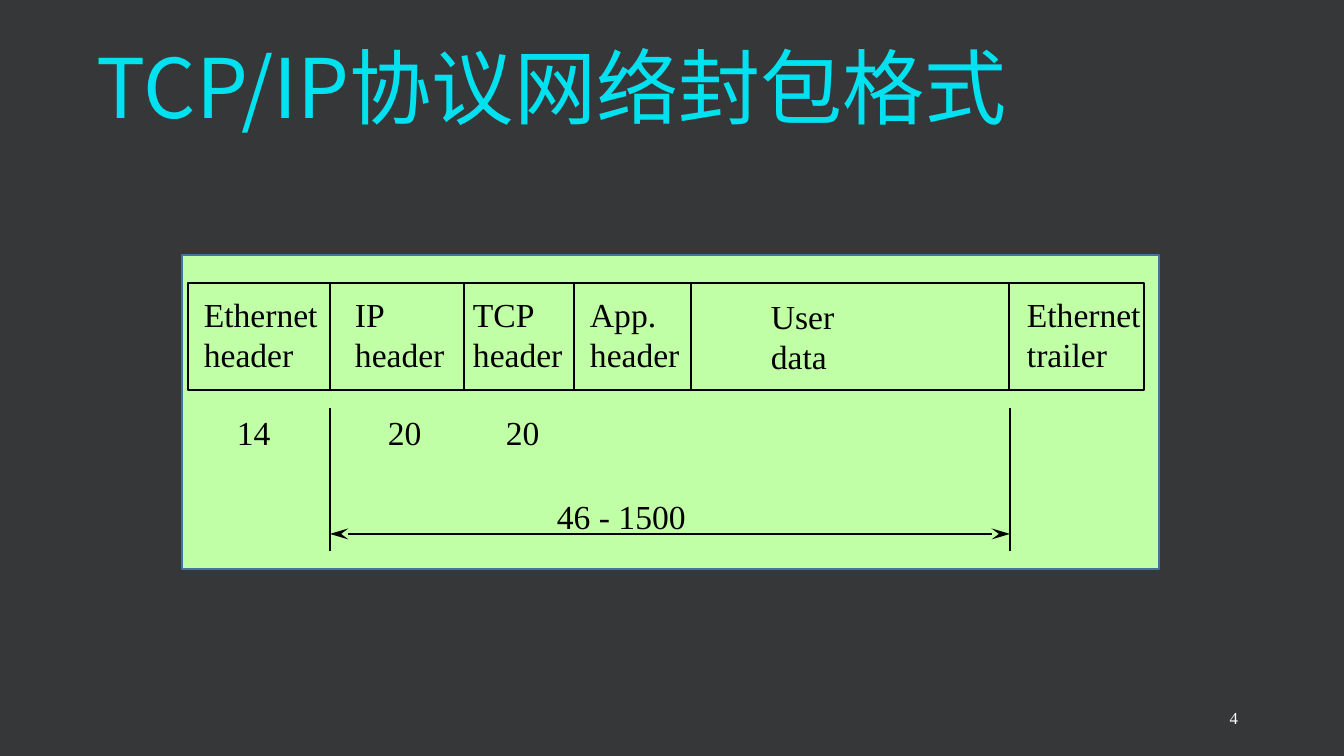
from pptx import Presentation
from pptx.dml.color import RGBColor
from pptx.enum.shapes import MSO_CONNECTOR, MSO_SHAPE
from pptx.enum.text import MSO_ANCHOR, MSO_AUTO_SIZE, PP_ALIGN
from pptx.oxml.ns import qn
from pptx.util import Pt
from lxml.etree import SubElement

PX = 914400 / 134.4
BG = RGBColor(0x36, 0x37, 0x39)
GREEN = RGBColor(0xC1, 0xFF, 0xA6)
BLUE = RGBColor(0x43, 0x73, 0x9E)
CYAN = RGBColor(0x01, 0xE1, 0xEF)
BLACK = RGBColor(0, 0, 0)
WHITE = RGBColor(255, 255, 255)
SERIF, CJK = "Times New Roman", "Noto Sans CJK SC"

TITLE = "TCP/IP协议网络封包格式"
PANEL = (182, 255, 977, 314)
FRAME = (188, 283, 956, 107)
FIELDS = [
    (193, 289, 136, "Ethernet\nheader", "14"),
    (344, 289, 112, "IP\nheader", "20"),
    (462, 289, 112, "TCP\nheader", "20"),
    (579, 289, 112, "App.\nheader", ""),
    (760, 291, 93, "User\ndata", ""),
    (1016, 289, 136, "Ethernet\ntrailer", ""),
]
DIVIDERS = [330, 464, 574, 691, 1009]
SPAN = (330, 1010)
SPAN_LABEL = "46 - 1500"
LABEL_H, SIZE_W, SIZE_H, SIZE_DX, SIZE_Y = 92, 60, 51, 33, 407


def emu(*lengths):
    return [round(v * PX) for v in lengths]


def style(tf, size, color, font=SERIF, align=PP_ALIGN.LEFT, spacing=1.0):
    for p in tf.paragraphs:
        p.alignment, p.line_spacing = align, spacing
        for r in p.runs:
            for key, value in {"size": Pt(size), "name": font, "bold": False}.items():
                setattr(r.font, key, value)
            r.font.color.rgb = color
            SubElement(r._r.get_or_add_rPr(), qn("a:ea"), typeface=font)


def set_frame(tf, **formats):
    margins = dict(zip(("margin_left", "margin_top", "margin_right", "margin_bottom"),
                       emu(11, 5, 11, 5)))
    for key, value in {**margins, **formats}.items():
        setattr(tf, key, value)


def add_text(s, box, text, size=18, color=BLACK, align=PP_ALIGN.LEFT, **formats):
    tf = s.shapes.add_textbox(*emu(*box)).text_frame
    tf.text = text
    set_frame(tf, **{"word_wrap": False, "auto_size": MSO_AUTO_SIZE.SHAPE_TO_FIT_TEXT, **formats})
    style(tf, size, color, align=align)


def add_rect(s, box, fill, line, width):
    sp = s.shapes.add_shape(MSO_SHAPE.RECTANGLE, *emu(*box))
    sp.shadow.inherit = False
    if fill is None:
        sp.fill.background()
    else:
        sp.fill.solid()
        sp.fill.fore_color.rgb = fill
    sp.line.color.rgb, sp.line.width = line, Pt(width)


def add_line(s, x1, y1, x2, y2, arrows=False):
    c = s.shapes.add_connector(MSO_CONNECTOR.STRAIGHT, *emu(x1, y1, x2, y2))
    c.line.color.rgb, c.line.width = BLACK, Pt(1)
    if arrows:
        for end in ("a:headEnd", "a:tailEnd"):
            SubElement(c._element.spPr.find(qn("a:ln")), qn(end),
                       type="stealth", w="med", len="lg")
    SubElement(c._element.spPr, qn("a:effectLst"))


def main():
    prs = Presentation()
    prs.slide_width, prs.slide_height = emu(1344, 756)
    s = prs.slides.add_slide(prs.slide_layouts[5])
    s.background.fill.solid()
    s.background.fill.fore_color.rgb = BG

    title = s.shapes.title
    title.left, title.top, title.width, title.height = emu(86, 60, 977, 63)
    title.text_frame.text = TITLE
    set_frame(title.text_frame, word_wrap=True, auto_size=MSO_AUTO_SIZE.NONE,
              vertical_anchor=MSO_ANCHOR.MIDDLE)
    style(title.text_frame, 44, CYAN, CJK, spacing=0.9)

    add_rect(s, PANEL, GREEN, BLUE, 1)
    add_rect(s, FRAME, None, BLACK, 0.75)
    for x, y, w, label, size in FIELDS:
        add_text(s, (x, y, w, LABEL_H), label)
        if size:
            add_text(s, (x + SIZE_DX, SIZE_Y, SIZE_W, SIZE_H), size)
    for x in DIVIDERS:
        add_line(s, x, 283, x, 391)

    add_text(s, (546, 491, 151, SIZE_H), SPAN_LABEL)
    for x in SPAN:
        add_line(s, x, 408, x, 551)
    add_line(s, SPAN[0], 534, SPAN[1], 534, arrows=True)

    add_text(s, (949, 701, 302, 40), "4", 9, WHITE, PP_ALIGN.RIGHT, word_wrap=True,
             auto_size=MSO_AUTO_SIZE.NONE, margin_right=emu(13)[0], margin_top=emu(7)[0])
    prs.save("out.pptx")


if __name__ == "__main__":
    main()
